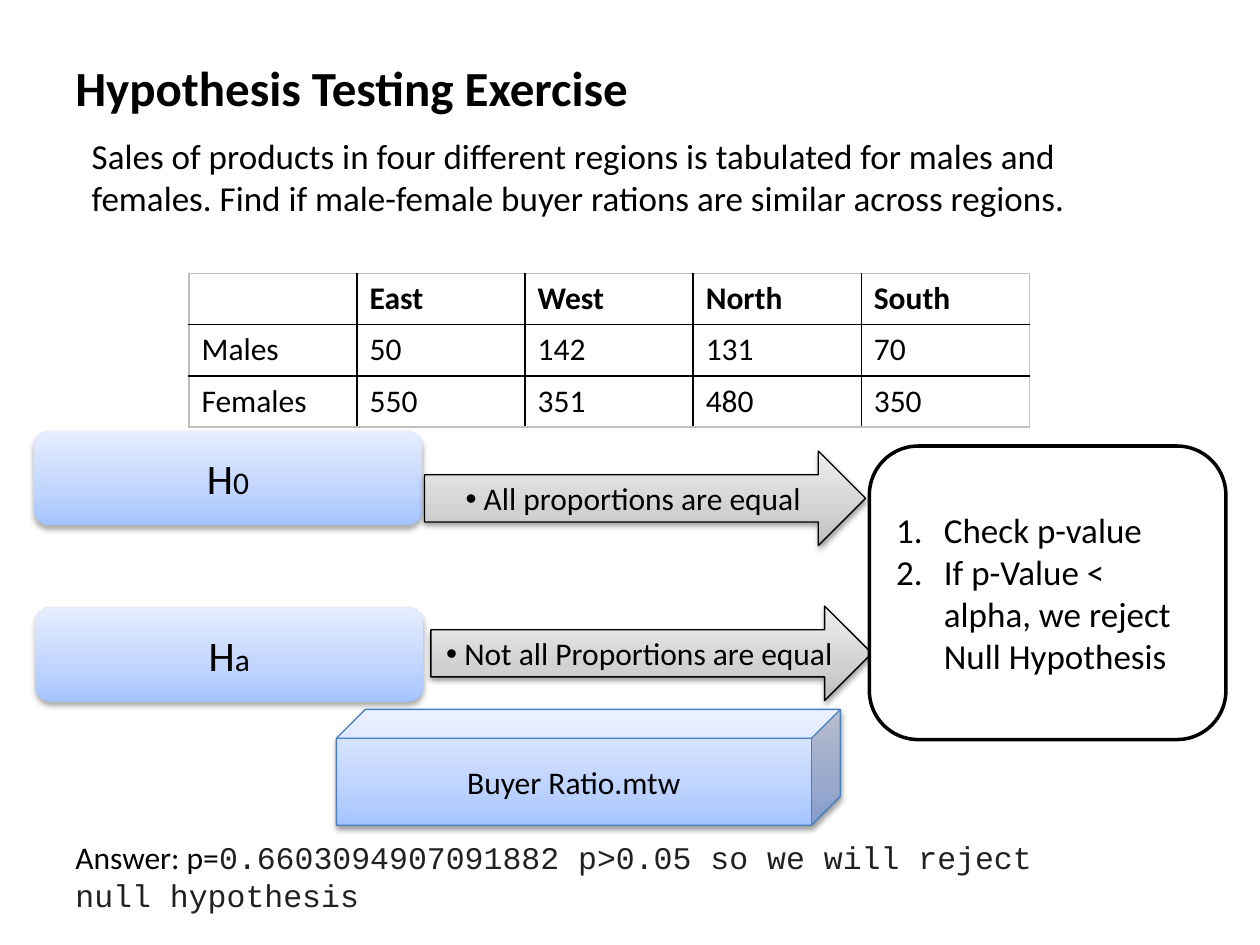
"""Build the hypothesis testing exercise slide."""
from dataclasses import dataclass
from typing import Optional

import lxml.etree
import pptx
import pptx.dml.color
import pptx.enum.shapes
import pptx.enum.text
import pptx.oxml.ns
import pptx.util

Inches, Pt = pptx.util.Inches, pptx.util.Pt
Geometry = pptx.enum.shapes.MSO_SHAPE
Align, Anchor = pptx.enum.text.PP_ALIGN, pptx.enum.text.MSO_ANCHOR
qn = pptx.oxml.ns.qn

COLORS = {"black": "000000", "white": "FFFFFF", "answer": "212121",
          "cube_edge": "4B7EBC", "table_edge": "C0C0C0"}
GRADIENTS = {"blue": {0: "A4C4FF", 35: "BFD4FF", 100: "E6EEFF"},
             "gray": {0: "BDBDBD", 35: "D1D1D1", 100: "EEEEEE"}}


@dataclass
class Run:
    text: str
    size: float = 18
    bold: bool = False
    font: str = "Calibri"
    color: str = "black"


@dataclass
class Shadow:
    alpha: int
    blur: float
    distance: float


SOFT, CRISP = Shadow(32, 3.5, 2.2), Shadow(38, 3.1, 1.6)


@dataclass
class Block:
    geometry: Geometry
    box: tuple[float, float, float, float]
    paragraphs: list[list[Run]]
    gradient: Optional[str] = None
    edge: Optional[str] = None
    edge_width: float = 0.75
    shadow: Optional[Shadow] = None
    bullet: Optional[str] = None
    indent: float = 0
    align: Align = Align.CENTER


def child(parent, tag: str, **attributes):
    return lxml.etree.SubElement(parent, qn(tag), {k: str(v) for k, v in attributes.items()})


def rgb(name: str) -> pptx.dml.color.RGBColor:
    return pptx.dml.color.RGBColor.from_string(COLORS[name])


def write(frame, paragraphs: list[list[Run]], align=Align.LEFT, anchor=Anchor.TOP) -> None:
    frame.word_wrap = True
    frame.vertical_anchor = anchor
    for index, runs in enumerate(paragraphs):
        paragraph = frame.add_paragraph() if index else frame.paragraphs[0]
        paragraph.alignment = align
        for item in runs:
            run = paragraph.add_run()
            run.text = item.text
            run.font.size, run.font.bold, run.font.name = Pt(item.size), item.bold, item.font
            run.font.color.rgb = rgb(item.color)


def draw_text(slide, box: tuple, runs: list[Run], anchor=Anchor.TOP) -> None:
    write(slide.shapes.add_textbox(*map(Inches, box)).text_frame, [runs], anchor=anchor)


def add_bullets(frame, bullet: str, indent: float) -> None:
    for paragraph in frame.paragraphs:
        properties = paragraph._p.get_or_add_pPr()
        properties.set("marL", str(Inches(indent)))
        properties.set("indent", str(-Inches(indent)))
        if bullet == "number":
            child(properties, "a:buFont", typeface="+mj-lt")
            child(properties, "a:buAutoNum", type="arabicPeriod")
        else:
            child(properties, "a:buFont", typeface="Arial")
            child(properties, "a:buChar", char=bullet)


def draw_block(slide, block: Block) -> None:
    shape = slide.shapes.add_shape(block.geometry, *map(Inches, block.box))
    shape.shadow.inherit = False
    if block.gradient:
        shape.fill.gradient()
        shape.fill.gradient_angle = 90
        stops = shape._element.spPr.find(qn("a:gradFill")).find(qn("a:gsLst"))
        for stop in list(stops):
            stops.remove(stop)
        for position, color in GRADIENTS[block.gradient].items():
            child(child(stops, "a:gs", pos=position * 1000), "a:srgbClr", val=color)
    else:
        shape.fill.solid()
        shape.fill.fore_color.rgb = rgb("white")
    if block.edge:
        shape.line.color.rgb = rgb(block.edge)
        shape.line.width = Pt(block.edge_width)
    else:
        shape.line.fill.background()
    if block.shadow:
        effects = shape._element.spPr.find(qn("a:effectLst"))
        outer = child(effects, "a:outerShdw", blurRad=Pt(block.shadow.blur),
                      dist=Pt(block.shadow.distance), dir=5400000, rotWithShape=0)
        tint = child(outer, "a:srgbClr", val=COLORS["black"])
        child(tint, "a:alpha", val=block.shadow.alpha * 1000)
    write(shape.text_frame, block.paragraphs, block.align, Anchor.MIDDLE)
    if block.bullet:
        add_bullets(shape.text_frame, block.bullet, block.indent)


def draw_table(slide, rows: list[list[str]]) -> None:
    last_row, last_column = len(rows) - 1, len(rows[0]) - 1
    table = slide.shapes.add_table(len(rows), len(rows[0]), Inches(1.5), Inches(2.17),
                                   Inches(6.67), Inches(1.22)).table
    table.first_row = table.horz_banding = False
    for r, row in enumerate(rows):
        for c, text in enumerate(row):
            cell = table.cell(r, c)
            if text:
                write(cell.text_frame, [[Run(text, bold=r == 0)]])
            properties = cell._tc.get_or_add_tcPr()
            outer = {"L": c == 0, "R": c == last_column, "T": r == 0, "B": r == last_row}
            for side, is_outer in outer.items():
                line = child(properties, f"a:ln{side}", w=Pt(1))
                color = COLORS["table_edge" if is_outer else "black"]
                child(child(line, "a:solidFill"), "a:srgbClr", val=color)
            cell.fill.background()


def hypothesis(subscript: str, left: float, top: float) -> Block:
    return Block(Geometry.ROUNDED_RECTANGLE, (left, top, 3.08, 0.75),
                 [[Run("H", 24), Run(subscript)]], "blue", shadow=SOFT)


def claim(text: str, left: float, top: float) -> Block:
    return Block(Geometry.RIGHT_ARROW, (left, top, 3.5, 0.75), [[Run(text)]],
                 "gray", "black", shadow=CRISP, bullet="•")


BLOCKS = [
    hypothesis("0", 0.27, 3.42),
    hypothesis("a", 0.28, 4.82),
    claim(" All proportions are equal", 3.37, 3.58),
    claim(" Not all Proportions are equal", 3.42, 4.81),
    Block(Geometry.ROUNDED_RECTANGLE, (6.9, 3.54, 2.83, 2.33),
          [[Run("Check p-value", 20)],
           [Run("If p-Value < alpha, we reject Null Hypothesis", 20)]],
          edge="black", edge_width=2, bullet="number", indent=0.38, align=Align.LEFT),
    Block(Geometry.CUBE, (2.67, 5.63, 4, 0.92), [[Run("Buyer Ratio.mtw")]],
          "blue", "cube_edge", shadow=CRISP),
]
SALES = [["", "East", "West", "North", "South"],
         ["Males", "50", "142", "131", "70"],
         ["Females", "550", "351", "480", "350"]]

deck = pptx.Presentation()
deck.slide_width, deck.slide_height = Inches(10), Inches(7.5)
exercise = deck.slides.add_slide(deck.slide_layouts[6])
draw_text(exercise, (0.5, 0.3, 9, 0.78),
          [Run("Hypothesis Testing Exercise", 28, True)], Anchor.MIDDLE)
draw_text(exercise, (0.63, 1.02, 8.46, 0.8),
          [Run("Sales of products in four different regions is tabulated for males and "
               "females. Find if male-female buyer rations are similar across regions.", 20)])
draw_table(exercise, SALES)
for block in BLOCKS:
    draw_block(exercise, block)
draw_text(exercise, (0.5, 6.6, 7.82, 0.71),
          [Run("Answer: p="),
           Run("0.6603094907091882 p>0.05 so we will reject null hypothesis",
               font="Courier New", color="answer")])
deck.save("out.pptx")
